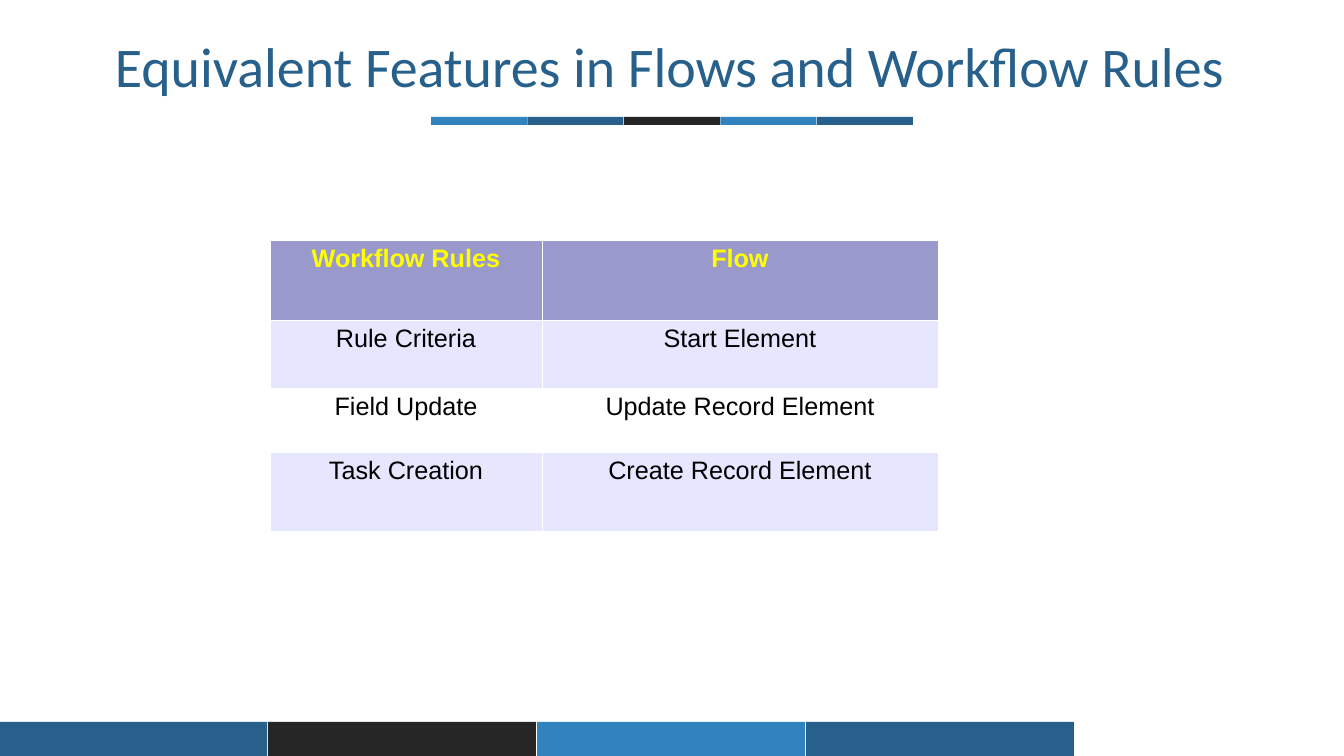
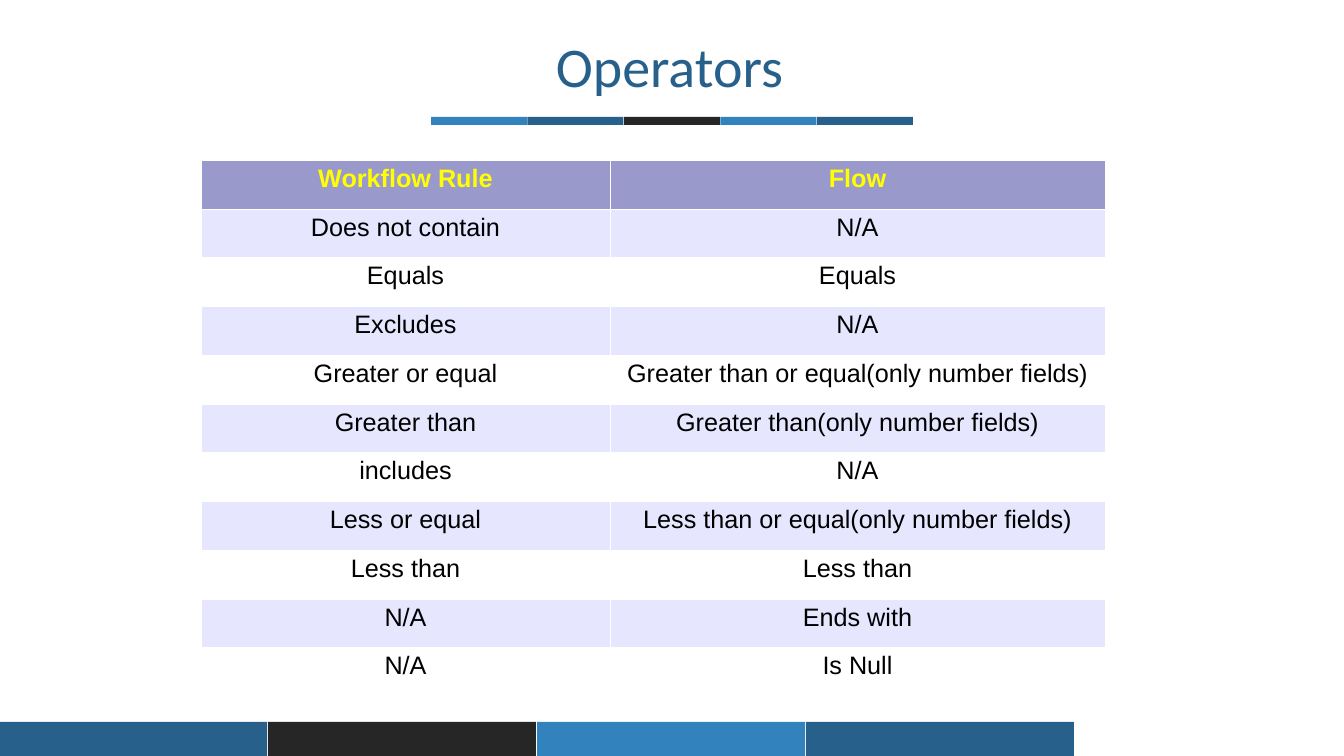
from dataclasses import dataclass
from itertools import pairwise

from lxml.etree import SubElement
from pptx import Presentation
from pptx.dml.color import RGBColor as Rgb
from pptx.enum.shapes import MSO_SHAPE as Shape, PP_PLACEHOLDER as Placeholder
from pptx.enum.text import MSO_ANCHOR as Anchor, MSO_AUTO_SIZE as AutoSize, PP_ALIGN as Align
from pptx.oxml.ns import qn
from pptx.slide import Slide, SlideLayout
from pptx.table import _Cell as Cell
from pptx.text.text import _Paragraph as Paragraph
from pptx.util import Emu, Pt

PX_PER_INCH = 100.8


@dataclass(frozen=True)
class Theme:
    sky: str = "3282BE"
    navy: str = "28608C"
    charcoal: str = "262626"
    header_fill: str = "9999CC"
    header_text: str = "FFFF00"
    stripe_fill: str = "E6E6FF"
    white: str = "FFFFFF"
    body_text: str = "000000"
    title_font: str = "Calibri"
    table_font: str = "Arial"
    title_size: int = 40
    table_size: int = 18
    border_width: float = 0.06


THEME = Theme()


@dataclass(frozen=True)
class Strip:
    """A row of equal bars with equal gaps, filling a given length."""
    left: int
    top: int
    length: int
    bar_width: int
    bar_height: int
    colors: tuple[str, ...]


@dataclass(frozen=True)
class Comparison:
    title: str
    left: int
    top: int
    column_widths: tuple[int, ...]
    row_heights: tuple[int, ...]
    rows: tuple[tuple[str, str], ...]


def even_split(total: int, count: int) -> tuple[int, ...]:
    """Cut a length into whole parts that differ by one at most."""
    edges = [round(index * total / count) for index in range(count + 1)]
    return tuple(end - start for start, end in pairwise(edges))


STRIPS = (
    Strip(431, 117, 482, 96, 8,
          (THEME.sky, THEME.navy, THEME.charcoal, THEME.sky, THEME.navy)),
    Strip(-1, 722, 1075, 268, 34,
          (THEME.navy, THEME.charcoal, THEME.sky, THEME.navy)),
)

OPERATORS = (
    ("Workflow Rule", "Flow"),
    ("Does not contain", "N/A"),
    ("Equals", "Equals"),
    ("Excludes", "N/A"),
    ("Greater or equal", "Greater than or equal(only number fields)"),
    ("Greater than", "Greater than(only number fields)"),
    ("includes", "N/A"),
    ("Less or equal", "Less than or equal(only number fields)"),
    ("Less than", "Less than"),
    ("N/A", "Ends with"),
    ("N/A", "Is Null"),
)

COMPARISONS = (
    Comparison(
        "Equivalent Features in Flows and Workflow Rules",
        270, 240, (272, 396), (80, 68, 64, 79),
        (
            ("Workflow Rules", "Flow"),
            ("Rule Criteria", "Start Element"),
            ("Field Update", "Update Record Element"),
            ("Task Creation", "Create Record Element"),
        ),
    ),
    Comparison("Operators", 201, 160, (409, 495),
               even_split(536, len(OPERATORS)), OPERATORS),
)


def px(value: float) -> Emu:
    return Emu(round(value * 914400 / PX_PER_INCH))


def style_paragraph(para: Paragraph, font: str, size: int, color: str, bold: bool = False) -> None:
    para.alignment = Align.CENTER
    para.font.name = font
    para.font.size = Pt(size)
    para.font.bold = bold
    para.font.color.rgb = Rgb.from_string(color)


def clear_layout(layout: SlideLayout) -> None:
    """Leave only the title placeholder on the layout."""
    for holder in list(layout.placeholders):
        if holder.placeholder_format.type != Placeholder.TITLE:
            holder.element.getparent().remove(holder.element)


def add_strip(page: Slide, strip: Strip) -> None:
    """Draw the bars as one group and hand it to the page's layout."""
    group = page.shapes.add_group_shape()
    count = len(strip.colors)
    gap = (strip.length - count * strip.bar_width) / (count - 1)
    for index, color in enumerate(strip.colors):
        left = strip.left + index * (strip.bar_width + gap)
        bar = group.shapes.add_shape(Shape.RECTANGLE, px(left), px(strip.top),
                                     px(strip.bar_width), px(strip.bar_height))
        bar.shadow.inherit = False
        bar.fill.solid()
        bar.fill.fore_color.rgb = Rgb.from_string(color)
        bar.line.fill.background()
    page.slide_layout.shapes.element.append(group.element)


def set_title(page: Slide, text: str) -> None:
    title = page.shapes.title
    title.left, title.top, title.width, title.height = px(41), px(34), px(1257), px(66)
    frame = title.text_frame
    frame.text = text
    frame.word_wrap = True
    frame.auto_size = AutoSize.NONE
    frame.vertical_anchor = Anchor.TOP
    para = frame.paragraphs[0]
    para.line_spacing = 0.9
    style_paragraph(para, THEME.title_font, THEME.title_size, THEME.navy)


def add_borders(cell: Cell) -> None:
    properties = cell._tc.get_or_add_tcPr()
    for side in ("lnL", "lnR", "lnT", "lnB"):
        line = SubElement(properties, qn(f"a:{side}"), w=str(Pt(THEME.border_width)))
        fill = SubElement(line, qn("a:solidFill"))
        SubElement(fill, qn("a:srgbClr"), val=THEME.white)


def fill_cell(cell: Cell, text: str, row_index: int) -> None:
    is_header = row_index == 0
    if is_header:
        fill = THEME.header_fill
    else:
        fill = THEME.stripe_fill if row_index % 2 else THEME.white
    add_borders(cell)
    cell.fill.solid()
    cell.fill.fore_color.rgb = Rgb.from_string(fill)
    cell.text = text
    style_paragraph(cell.text_frame.paragraphs[0], THEME.table_font, THEME.table_size,
                    THEME.header_text if is_header else THEME.body_text, is_header)


def add_comparison_table(page: Slide, comparison: Comparison) -> None:
    widths, heights = comparison.column_widths, comparison.row_heights
    table = page.shapes.add_table(
        len(heights), len(widths), px(comparison.left), px(comparison.top),
        px(sum(widths)), px(sum(heights))).table
    table.horz_banding = False
    for column, width in zip(table.columns, widths):
        column.width = px(width)
    for row_index, (row, height) in enumerate(zip(table.rows, heights)):
        row.height = px(height)
        for cell, text in zip(row.cells, comparison.rows[row_index]):
            fill_cell(cell, text, row_index)


def main() -> None:
    deck = Presentation()
    deck.slide_width, deck.slide_height = px(1344), px(756)
    layout = deck.slide_layouts.get_by_name("Title Only")
    clear_layout(layout)
    pages = [deck.slides.add_slide(layout) for _ in COMPARISONS]
    for strip in STRIPS:
        add_strip(pages[0], strip)
    for page, comparison in zip(pages, COMPARISONS):
        set_title(page, comparison.title)
        add_comparison_table(page, comparison)
    deck.save("out.pptx")


if __name__ == "__main__":
    main()
